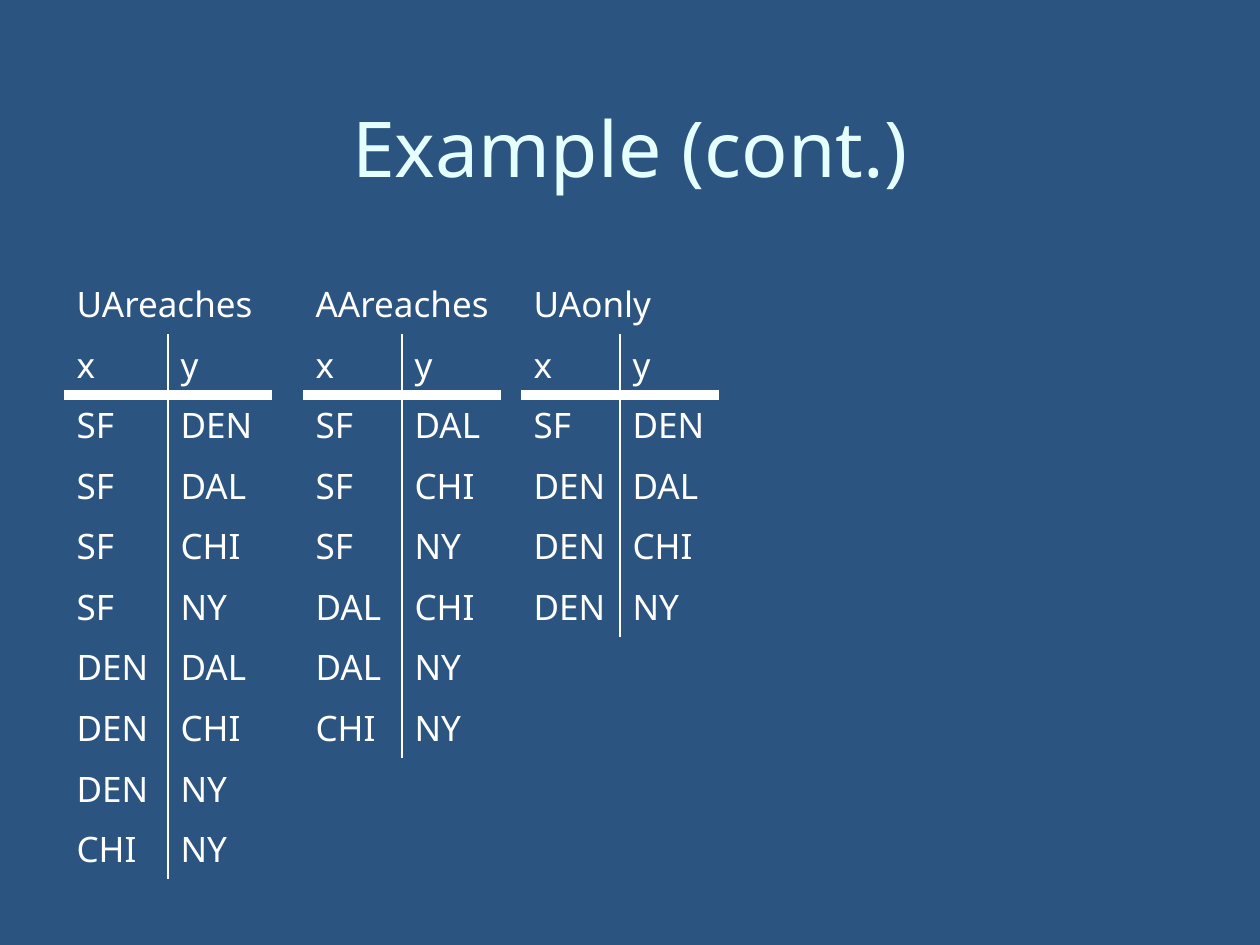
from lxml import etree
from pptx import Presentation
from pptx.dml.color import RGBColor
from pptx.enum.text import MSO_ANCHOR, PP_ALIGN
from pptx.oxml.ns import qn
from pptx.util import Pt

CENTER, LEFT = PP_ALIGN.CENTER, PP_ALIGN.LEFT
MIDDLE, TOP = MSO_ANCHOR.MIDDLE, MSO_ANCHOR.TOP
BLUE = RGBColor(0x2B, 0x54, 0x81)
WHITE = RGBColor(0xFF, 0xFF, 0xFF)
PALE_CYAN = RGBColor(0xE5, 0xFF, 0xFF)
EMU_PER_PIXEL = 914400 / 126
TITLE_ONLY = 5
THIN, THICK = 1, 6
TABLE_TOP, ROW_HEIGHT = 274, 60

RELATIONS = [
    ("UAreaches", 64, 104, ["SF DEN", "SF DAL", "SF CHI", "SF NY",
                            "DEN DAL", "DEN CHI", "DEN NY", "CHI NY"]),
    ("AAreaches", 303, 99, ["SF DAL", "SF CHI", "SF NY",
                            "DAL CHI", "DAL NY", "CHI NY"]),
    ("UAonly", 521, 99, ["SF DEN", "DEN DAL", "DEN CHI", "DEN NY"]),
]


def pixels(length):
    """Turn whole pixels into EMU."""
    return round(length * EMU_PER_PIXEL)


def write_text(frame, text, size=20, color=WHITE, align=LEFT, font="Noto Sans"):
    """Put one formatted paragraph into a text frame."""
    paragraph = frame.paragraphs[0]
    paragraph.alignment = align
    run = paragraph.add_run()
    run.text = text
    run.font.name = font
    run.font.size = Pt(size)
    run.font.bold = False
    run.font.color.rgb = color


def set_borders(cell, widths):
    """Draw the given sides in white and hide the others."""
    properties = cell._tc.get_or_add_tcPr()
    for position, side in enumerate("LRTB"):
        line = etree.Element(qn(f"a:ln{side}"))
        if side in widths:
            line.set("w", str(Pt(widths[side])))
            fill = etree.SubElement(line, qn("a:solidFill"))
            etree.SubElement(fill, qn("a:srgbClr"), val=str(WHITE))
        else:
            etree.SubElement(line, qn("a:noFill"))
        properties.insert(position, line)


class SlideBuilder:
    """Hold the current slide and add its elements."""

    def __init__(self, presentation):
        """Start a title-only slide on a blue background."""
        layout = presentation.slide_layouts[TITLE_ONLY]
        self.slide = presentation.slides.add_slide(layout)
        fill = self.slide.background.fill
        fill.solid()
        fill.fore_color.rgb = BLUE

    def title(self, text, left, top, width, height):
        """Place and format the title."""
        shape = self.slide.shapes.title
        shape.left, shape.top = pixels(left), pixels(top)
        shape.width, shape.height = pixels(width), pixels(height)
        shape.text_frame.vertical_anchor = MIDDLE
        write_text(shape.text_frame, text, size=44, color=PALE_CYAN, align=CENTER)

    def relation(self, name, left, column_width, pairs):
        """Add a two-column relation under its merged name row."""
        rows = [[name, ""], ["x", "y"]] + [pair.split() for pair in pairs]
        table = self.slide.shapes.add_table(
            len(rows), 2, pixels(left), pixels(TABLE_TOP),
            pixels(2 * column_width), pixels(ROW_HEIGHT * len(rows))).table
        table.first_row = table.horz_banding = False
        name_cell = table.cell(0, 0)
        name_cell.merge(table.cell(0, 1))
        name_cell.margin_right = 0
        for row_index, row in enumerate(rows):
            for column_index, text in enumerate(row):
                cell = table.cell(row_index, column_index)
                cell.fill.background()
                cell.vertical_anchor = TOP
                borders = {}
                if row_index > 0:
                    borders["RL"[column_index]] = THIN
                if row_index == 1:
                    borders["B"] = THICK
                if row_index == 2:
                    borders["T"] = THICK
                set_borders(cell, borders)
                if text:
                    write_text(cell.text_frame, text)


def main():
    """Build and save the slide."""
    presentation = Presentation()
    presentation.slide_width = pixels(1260)
    presentation.slide_height = pixels(945)
    builder = SlideBuilder(presentation)
    builder.title("Example (cont.)", 63, 52, 1134, 189)
    for relation in RELATIONS:
        builder.relation(*relation)
    presentation.save("out.pptx")


main()
